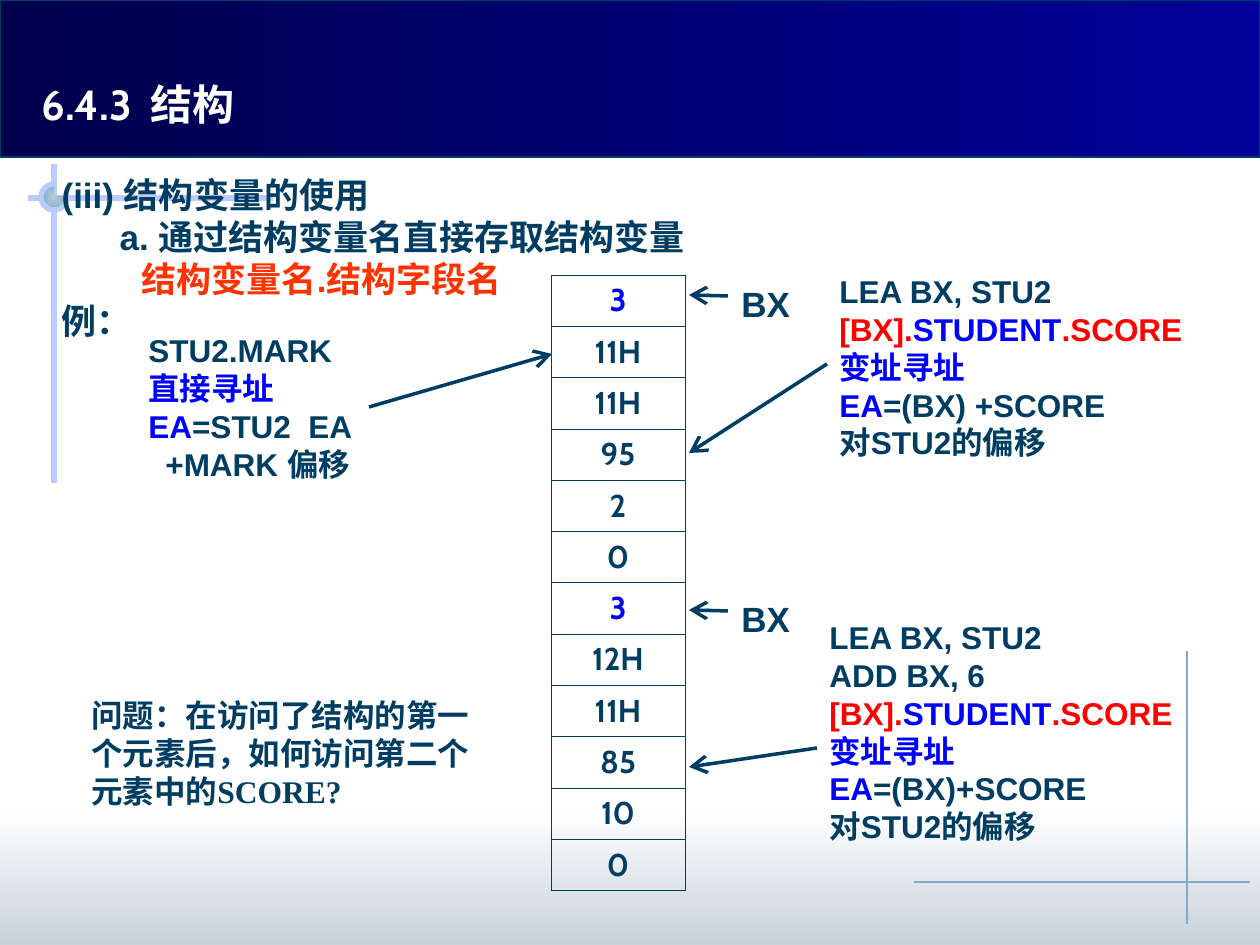
from lxml.etree import SubElement
from pptx import Presentation
from pptx.dml.color import RGBColor
from pptx.enum.shapes import MSO_CONNECTOR, MSO_SHAPE
from pptx.enum.text import MSO_ANCHOR, MSO_AUTO_SIZE, PP_ALIGN
from pptx.oxml.ns import qn
from pptx.util import Pt

NAVY, BLUE, RED, ORANGE = "003D62", "0000FF", "FF0000", "FF3300"
PALE, STEEL, WHITE = "BBCBFD", "81ABCB", "FFFFFF"
ink = RGBColor.from_string


def px(*vals):
    """Turn pixels, 126 to the inch, into EMU."""
    return [round(v * 914400 / 126) for v in vals]


def write(frame, lines, size, face="Arial", align=PP_ALIGN.LEFT):
    """Fill a frame; each line is an indent in px, then (text, colour) runs."""
    font = {"size": Pt(size), "name": face, "bold": True}
    form = {"alignment": align, "line_spacing": 1.0, "space_before": Pt(0)}
    for n, (indent, *runs) in enumerate(lines):
        para = frame.paragraphs[0] if n == 0 else frame.add_paragraph()
        for key, val in form.items():
            setattr(para, key, val)
        props = para._p.get_or_add_pPr()
        props.set("marL", str(px(indent)[0]))
        props.set("indent", "0")
        SubElement(props, qn("a:buNone"))
        for text, tint in runs:
            run = para.add_run()
            run.text = text
            run.font.color.rgb = ink(tint)
            for key, val in font.items():
                setattr(run.font, key, val)


deck = Presentation()
deck.slide_width, deck.slide_height = px(1260, 945)
slide = deck.slides.add_slide(deck.slide_layouts[1])
shapes = slide.shapes

# Backdrop: footer fade and header band
bands = [
    ((0, 809, 1260, 136), (WHITE, "C8D1DA"), 270, None),
    ((0, 0, 1260, 157), ("00004D", "000099"), 0, NAVY),
]
for box, tints, angle, edge in bands:
    band = shapes.add_shape(MSO_SHAPE.RECTANGLE, *px(*box))
    band.shadow.inherit = False
    band.fill.gradient()
    band.fill.gradient_angle = angle
    for stop, tint in zip(band.fill.gradient_stops, tints):
        stop.color.rgb = ink(tint)
    if edge:
        band.line.color.rgb = ink(edge)
        band.line.width = Pt(0.75)
    else:
        band.line.fill.background()

# Guide lines, then arrows
rules = [
    ((1187, 651, 1187, 924), STEEL, 0.75, False),
    ((914, 882, 1250, 882), STEEL, 0.75, False),
    ((273, 198, 28, 198), PALE, 3, False),
    ((54, 164, 54, 483), PALE, 3, False),
]
arrows = [
    (728, 296, 689, 295),
    (728, 611, 689, 610),
    (369, 407, 552, 354),
    (827, 364, 689, 453),
    (817, 748, 689, 767),
]
rules += [(ends, NAVY, 2, True) for ends in arrows]
for ends, tint, width, head in rules:
    rule = shapes.add_connector(MSO_CONNECTOR.STRAIGHT, *px(*ends))
    rule.line.color.rgb = ink(tint)
    rule.line.width = Pt(width)
    props = rule.element.spPr
    if head:
        SubElement(props.find(qn("a:ln")), qn("a:tailEnd"),
                   type="arrow", w="lg", len="lg")
    SubElement(props, qn("a:effectLst"))

# Three-quarter knob where the guides cross
knob = shapes.add_shape(MSO_SHAPE.ARC, *px(41, 184, 26, 26))
knob.shadow.inherit = False
knob.adjustments[0], knob.adjustments[1] = 0, 162
knob.line.color.rgb = ink(PALE)
knob.line.width = Pt(3)
knob.fill.gradient()
for stop, tint in zip(knob.fill.gradient_stops, ("B6CBD6", STEEL)):
    stop.color.rgb = ink(tint)
grad = knob.element.spPr.find(qn("a:gradFill"))
grad.remove(grad.find(qn("a:lin")))
glow = SubElement(grad, qn("a:path"), path="rect")
SubElement(glow, qn("a:fillToRect"), {side: "50000" for side in "ltrb"})

# Title and outline, raised above the backdrop
outline = [
    (0, ("(iii) 结构变量的使用", NAVY)),
    (58, ("a. 通过结构变量名直接存取结构变量", NAVY)),
    (80, ("结构变量名.结构字段名", ORANGE)),
    (0, ("例：", NAVY)),
]
heading = [(0, ("6.4.3  结构", WHITE))]
holders = [
    (shapes.title, (29, 39, 881, 96), MSO_ANCHOR.BOTTOM, heading, 24, "Cabin"),
    (slide.placeholders[1], (49, 167, 1053, 307), MSO_ANCHOR.TOP, outline, 20, "Arial"),
]
for holder, box, anchor, lines, size, face in holders:
    for side, val in zip(("left", "top", "width", "height"), px(*box)):
        setattr(holder, side, val)
    holder.text_frame.auto_size = MSO_AUTO_SIZE.NONE
    holder.text_frame.vertical_anchor = anchor
    write(holder.text_frame, lines, size, face)
    holder.element.getparent().append(holder.element)

# Memory column
cells = ["3", "11H", "11H", "95", "2", "0", "3", "12H", "11H", "85", "10", "0"]
grid = shapes.add_table(len(cells), 1, *px(551, 275, 134, 616)).table
grid.first_row = grid.horz_banding = False
for row, text in enumerate(cells):
    cell = grid.cell(row, 0)
    cell.vertical_anchor = MSO_ANCHOR.MIDDLE
    tint = BLUE if text == "3" else NAVY
    write(cell.text_frame, [(0, (text, tint))], 18, "Cabin", PP_ALIGN.CENTER)
    props = cell._tc.get_or_add_tcPr()
    for side in "LRTB":
        edge = SubElement(props, qn(f"a:ln{side}"), w=str(Pt(0.45)))
        fill = SubElement(edge, qn("a:solidFill"))
        SubElement(fill, qn("a:srgbClr"), val=NAVY)
    cell.fill.background()

# Notes beside the column
load = (0, ("LEA BX, STU2", NAVY))
field = (0, ("[BX].", RED), ("STUDENT", BLUE), (".SCORE", RED))
mode = (0, ("变址寻址", BLUE))
shift = (0, ("对STU2的偏移", NAVY))
direct = [
    (0, ("STU2.MARK", NAVY)),
    (0, ("直接寻址", BLUE)),
    (0, ("EA", BLUE), ("=STU2  EA", NAVY)),
    (17, ("+MARK 偏移", NAVY)),
]
first = [load, field, mode, (0, ("EA", BLUE), ("=(BX) +SCORE", NAVY)), shift]
second = [load, (0, ("ADD BX, 6", NAVY)), field, mode,
          (0, ("EA", BLUE), ("=(BX)+SCORE", NAVY)), shift]
query = [(0, ("问题：在访问了结构的第一个元素后，如何访问第二个元素中的SCORE?", NAVY))]
base = [(0, ("BX", NAVY))]
notes = [
    ((136, 325, 240, 164), direct, 18, "Arial", False),
    ((827, 266, 376, 240), first, 18, "Arial", False),
    ((817, 612, 376, 240), second, 18, "Arial", False),
    ((729, 276, 84, 55), base, 20, "Arial", False),
    ((729, 591, 84, 55), base, 20, "Arial", False),
    ((79, 690, 413, 126), query, 18, "Times New Roman", True),
]
for box, lines, size, face, wrap in notes:
    frame = shapes.add_textbox(*px(*box)).text_frame
    frame.word_wrap = wrap
    write(frame, lines, size, face)

deck.save("out.pptx")
